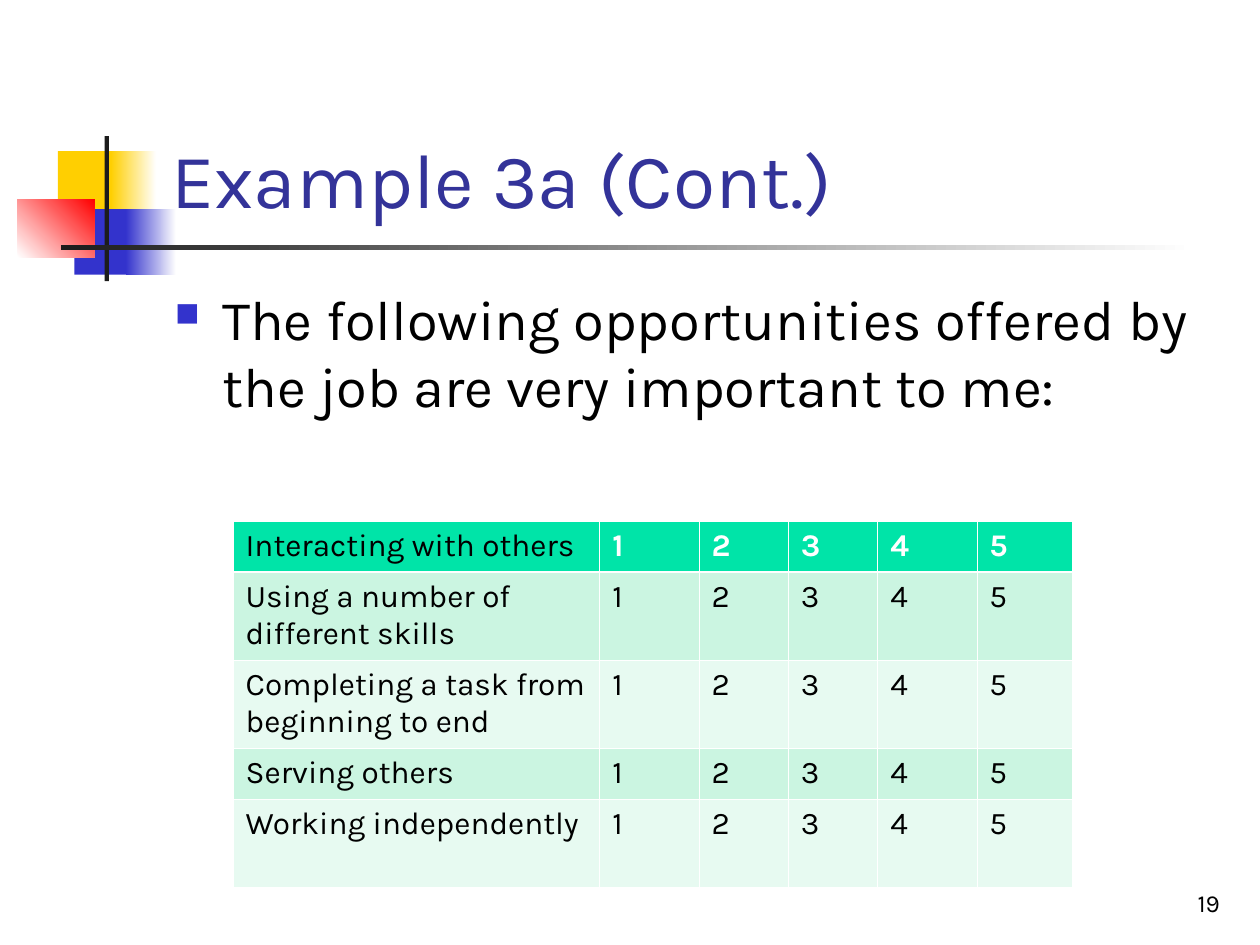
from lxml import etree
from pptx import Presentation
from pptx.dml.color import RGBColor
from pptx.enum.shapes import MSO_SHAPE
from pptx.enum.text import MSO_ANCHOR, MSO_AUTO_SIZE, PP_ALIGN
from pptx.oxml.ns import qn
from pptx.util import Pt

RECTANGLE = MSO_SHAPE.RECTANGLE
BOTTOM, TOP = MSO_ANCHOR.BOTTOM, MSO_ANCHOR.TOP
LEFT, RIGHT = PP_ALIGN.LEFT, PP_ALIGN.RIGHT
NO_AUTOFIT = MSO_AUTO_SIZE.NONE
TITLE_ONLY = 5

FONT = "Karla"
BLACK = RGBColor(0x00, 0x00, 0x00)
WHITE = RGBColor(0xFF, 0xFF, 0xFF)
CHARCOAL = RGBColor(0x1C, 0x1C, 0x1C)
YELLOW = RGBColor(0xFF, 0xCF, 0x01)
BLUE = RGBColor(0x33, 0x33, 0xCC)
RED = RGBColor(0xFF, 0x00, 0x00)
TITLE_BLUE = RGBColor(0x33, 0x33, 0x99)
HEADER_GREEN = RGBColor(0x00, 0xE4, 0xA8)
BAND_GREENS = (RGBColor(0xCB, 0xF5, 0xE1), RGBColor(0xE7, 0xFA, 0xF1))

# left, top, width, height, colours (two make a gradient), angle
DECORATION = [
    (33.1, 86.4, 34.6, 37.4, (YELLOW,), 0),
    (63.4, 86.4, 25.9, 37.4, (YELLOW, WHITE), 0),
    (42.5, 119.5, 33.1, 37.4, (BLUE,), 0),
    (72, 119.5, 28.8, 37.4, (BLUE, WHITE), 0),
    (10.1, 113.8, 43.9, 33.1, (WHITE, RED), 45),
    (59.8, 77.8, 2.4, 82.8, (CHARCOAL,), 0),
    (34.6, 140.2, 648, 2.4, (CHARCOAL, WHITE), 0),
]
OPPORTUNITIES = [
    "Interacting with others",
    "Using a number of different skills",
    "Completing a task from beginning to end",
    "Serving others",
    "Working independently",
]
RATINGS = ["1", "2", "3", "4", "5"]
COLUMN_WIDTHS = [209.5, 56.7, 51.1, 51.1, 56.7, 54.7]
ROW_HEIGHTS = [28.8, 50.4, 50.4, 28.8, 50.4]
THIN, THICK = 0.45, 1.47


def write_text(frame, text, size=18, color=BLACK, bold=False, align=LEFT, anchor=TOP):
    frame.word_wrap = True
    frame.vertical_anchor = anchor
    para = frame.paragraphs[0]
    para.alignment = align
    span = para.add_run()
    span.text = text
    span.font.name = FONT
    span.font.size = Pt(size)
    span.font.bold = bold
    span.font.color.rgb = color
    return para


def place(box, left, top, width, height):
    box.left, box.top, box.width, box.height = map(Pt, (left, top, width, height))


def add_block(page, left, top, width, height, colors, angle):
    block = page.shapes.add_shape(RECTANGLE, Pt(left), Pt(top), Pt(width), Pt(height))
    block.shadow.inherit = False
    block.line.fill.background()
    if len(colors) == 1:
        block.fill.solid()
        block.fill.fore_color.rgb = colors[0]
        return
    block.fill.gradient()
    block.fill.gradient_angle = angle
    for stop, color in zip(block.fill.gradient_stops, colors):
        stop.color.rgb = color


def add_title(page, text):
    title = page.shapes.title
    place(title, 90.7, 16.6, 613.4, 115.2)
    title.text_frame.auto_size = NO_AUTOFIT
    write_text(title.text_frame, text, size=44, color=TITLE_BLUE, anchor=BOTTOM)
    # Bring the title in front of the decoration
    title.element.getparent().append(title.element)


def add_text(page, left, top, width, height, text, **style):
    box = page.shapes.add_textbox(Pt(left), Pt(top), Pt(width), Pt(height))
    return write_text(box.text_frame, text, **style)


def add_square_bullet(para, color, indent):
    properties = para._p.get_or_add_pPr()
    properties.set("marL", str(Pt(indent)))
    properties.set("indent", str(-Pt(indent)))
    bullet_color = etree.SubElement(properties, qn("a:buClr"))
    etree.SubElement(bullet_color, qn("a:srgbClr"), val=str(color))
    etree.SubElement(properties, qn("a:buSzPct"), val="60000")
    etree.SubElement(properties, qn("a:buChar"), char="■")


def set_borders(cell, **widths):
    properties = cell._tc.get_or_add_tcPr()
    for index, side in enumerate(("L", "R", "T", "B")):
        width = Pt(widths.get(side, THIN))
        line = etree.Element(qn(f"a:ln{side}"), w=str(width))
        fill = etree.SubElement(line, qn("a:solidFill"))
        etree.SubElement(fill, qn("a:srgbClr"), val=str(WHITE))
        properties.insert(index, line)


def add_rating_table(page):
    table = page.shapes.add_table(
        len(ROW_HEIGHTS), len(COLUMN_WIDTHS), Pt(133.2), Pt(298.1),
        Pt(sum(COLUMN_WIDTHS)), Pt(sum(ROW_HEIGHTS))).table
    for column, width in zip(table.columns, COLUMN_WIDTHS):
        column.width = Pt(width)
    for row, (opportunity, height) in enumerate(zip(OPPORTUNITIES, ROW_HEIGHTS)):
        table.rows[row].height = Pt(height)
        header = row == 0
        edges = {0: {"B": THICK}, 1: {"T": THICK}}.get(row, {})
        for column, text in enumerate([opportunity] + RATINGS):
            cell = table.cell(row, column)
            strong = header and column > 0
            write_text(cell.text_frame, text, bold=strong,
                       color=WHITE if strong else BLACK)
            cell.fill.solid()
            cell.fill.fore_color.rgb = HEADER_GREEN if header else BAND_GREENS[(row - 1) % 2]
            set_borders(cell, **edges)


def main():
    deck = Presentation()
    deck.slide_width, deck.slide_height = Pt(720), Pt(540)
    page = deck.slides.add_slide(deck.slide_layouts[TITLE_ONLY])
    for block in DECORATION:
        add_block(page, *block)
    add_title(page, "Example 3a (Cont.)")
    prompt = add_text(
        page, 92.9, 159.1, 612, 324,
        "The following opportunities offered by the job are very important to me:",
        size=32)
    prompt.space_before = Pt(8)
    add_square_bullet(prompt, BLUE, indent=27)
    add_text(page, 554.4, 491.8, 149.8, 36, "19", size=14, align=RIGHT, anchor=BOTTOM)
    add_rating_table(page)
    deck.save("out.pptx")


if __name__ == "__main__":
    main()
